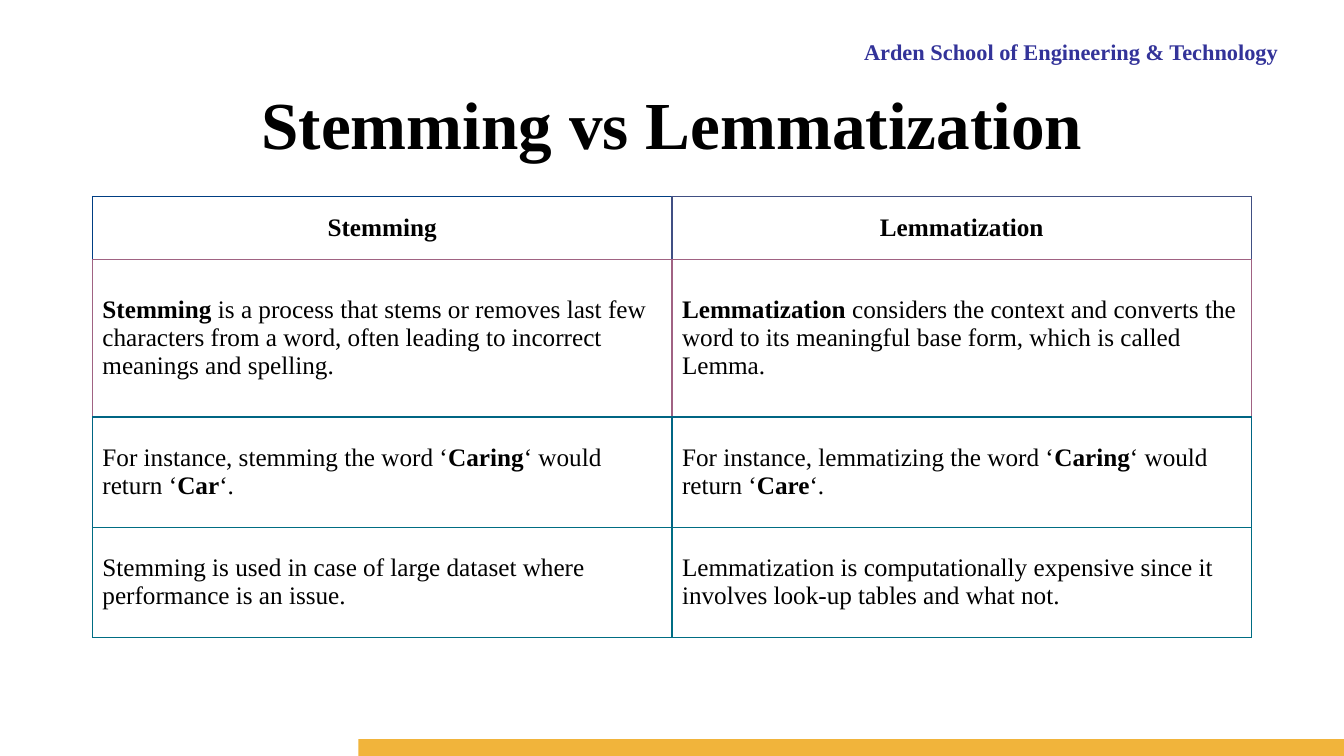
from dataclasses import dataclass

from lxml.etree import SubElement
from pptx import Presentation
from pptx.dml.color import RGBColor
from pptx.enum.shapes import MSO_SHAPE
from pptx.enum.text import MSO_ANCHOR, PP_ALIGN
from pptx.oxml.ns import qn
from pptx.util import Pt

FONT = "Times New Roman"
BLACK = "000000"
WHITE = "FFFFFF"
NAVY = "333399"
AMBER = "F1B43B"


@dataclass(frozen=True)
class Span:
    text: str
    bold: bool = False


@dataclass(frozen=True)
class ComparisonRow:
    height: float
    border_colors: tuple[str, str]
    cells: tuple[list[Span], list[Span]]
    align: PP_ALIGN = PP_ALIGN.LEFT


ROWS = [
    ComparisonRow(45, ("003E83", "404F83"), (
        [Span("Stemming", True)],
        [Span("Lemmatization", True)],
    ), PP_ALIGN.CENTER),
    ComparisonRow(112.5, ("A06383", "A06283"), (
        [Span("Stemming", True),
         Span(" is a process that stems or removes last few characters from a word, "
              "often leading to incorrect meanings and spelling.")],
        [Span("Lemmatization", True),
         Span(" considers the context and converts the word to its meaningful base form, "
              "which is called Lemma.")],
    )),
    ComparisonRow(78.75, ("006583", "006583"), (
        [Span("For instance, stemming the word ‘"), Span("Caring", True),
         Span("‘ would return ‘"), Span("Car", True), Span("‘.")],
        [Span("For instance, lemmatizing the word ‘"), Span("Caring", True),
         Span("‘ would return ‘"), Span("Care", True), Span("‘.")],
    )),
    ComparisonRow(78.75, ("006D83", "006D83"), (
        [Span("Stemming is used in case of large dataset where performance is an issue.")],
        [Span("Lemmatization is computationally expensive since it involves "
              "look-up tables and what not.")],
    )),
]


def color(value: str) -> RGBColor:
    return RGBColor.from_string(value)


def write(para, spans: list[Span], size: float, ink: str, align: PP_ALIGN) -> None:
    para.alignment = align
    para.font.name = FONT
    para.font.size = Pt(size)
    para.font.color.rgb = color(ink)
    for span in spans:
        run = para.add_run()
        run.text = span.text
        run.font.name = FONT
        run.font.size = Pt(size)
        run.font.color.rgb = color(ink)
        run.font.bold = span.bold


def add_borders(cell, left: str, right: str, top: str, bottom: str) -> None:
    properties = cell._tc.get_or_add_tcPr()
    for tag, value in (("a:lnL", left), ("a:lnR", right), ("a:lnT", top), ("a:lnB", bottom)):
        line = SubElement(properties, qn(tag), w=str(Pt(1)))
        fill = SubElement(line, qn("a:solidFill"))
        SubElement(fill, qn("a:srgbClr"), val=value)


def add_school_name(page) -> None:
    box = page.shapes.add_textbox(Pt(432), Pt(24), Pt(488), Pt(24))
    box.text_frame.word_wrap = True
    write(box.text_frame.paragraphs[0],
          [Span("Arden School of Engineering & Technology", True)], 16, NAVY, PP_ALIGN.RIGHT)


def add_footer_bar(page) -> None:
    bar = page.shapes.add_shape(MSO_SHAPE.RECTANGLE, Pt(256), Pt(528), Pt(704), Pt(12))
    bar.shadow.inherit = False
    bar.fill.solid()
    bar.fill.fore_color.rgb = color(AMBER)
    bar.line.fill.background()


def format_title(page) -> None:
    title = page.shapes.title
    title.left, title.top, title.width, title.height = Pt(48), Pt(50), Pt(864), Pt(62)
    title.text_frame.vertical_anchor = MSO_ANCHOR.TOP
    title.text_frame.margin_top = Pt(9)
    write(title.text_frame.paragraphs[0],
          [Span("Stemming vs Lemmatization", True)], 48, BLACK, PP_ALIGN.CENTER)


def add_comparison(page) -> None:
    height = sum(row.height for row in ROWS)
    table = page.shapes.add_table(
        len(ROWS), 2, Pt(66), Pt(140.4), Pt(828), Pt(height)).table
    for row_index, row in enumerate(ROWS):
        table.rows[row_index].height = Pt(row.height)
        below = ROWS[min(row_index + 1, len(ROWS) - 1)]
        for column, spans in enumerate(row.cells):
            cell = table.cell(row_index, column)
            own = row.border_colors[column]
            add_borders(cell, own, row.border_colors[1], own, below.border_colors[column])
            cell.fill.solid()
            cell.fill.fore_color.rgb = color(WHITE)
            cell.vertical_anchor = MSO_ANCHOR.MIDDLE
            write(cell.text_frame.paragraphs[0], spans, 18, BLACK, row.align)


def main() -> None:
    deck = Presentation()
    deck.slide_width, deck.slide_height = Pt(960), Pt(540)
    page = deck.slides.add_slide(deck.slide_layouts[5])
    add_school_name(page)
    add_footer_bar(page)
    format_title(page)
    add_comparison(page)
    deck.save("out.pptx")


if __name__ == "__main__":
    main()
